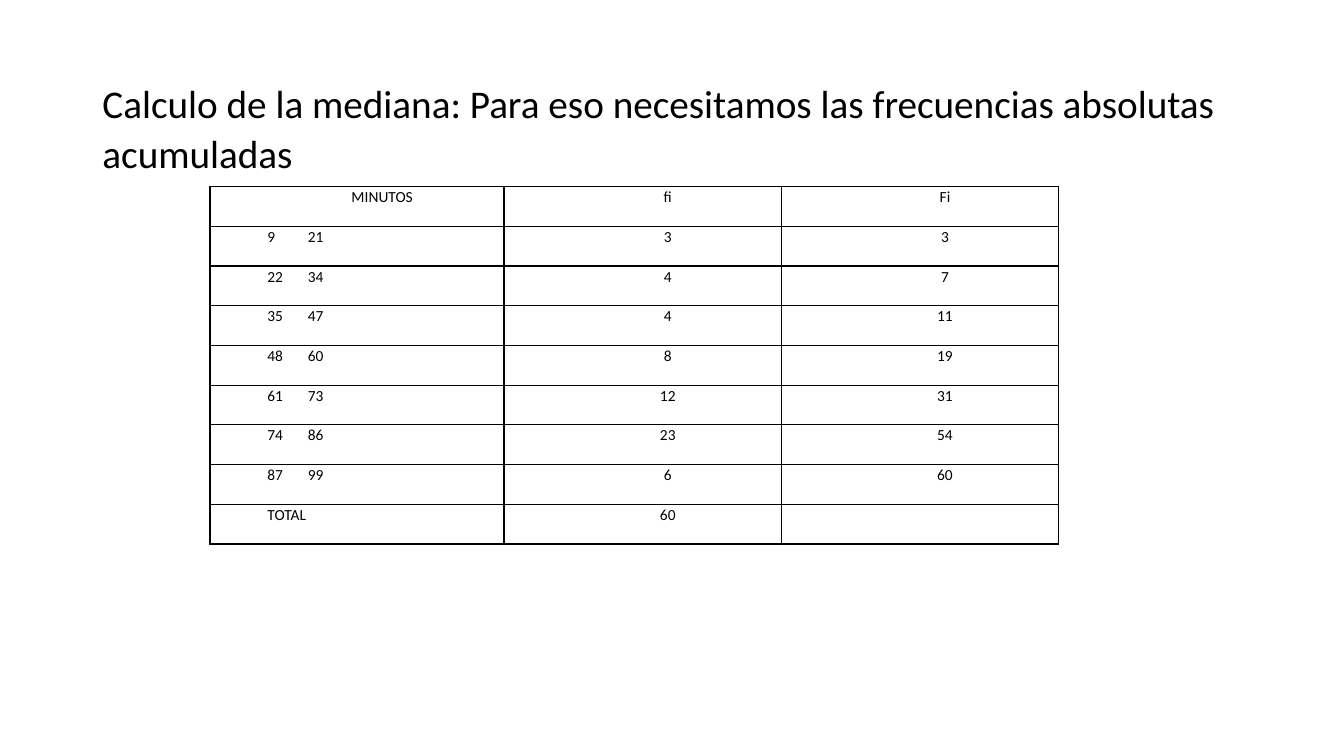
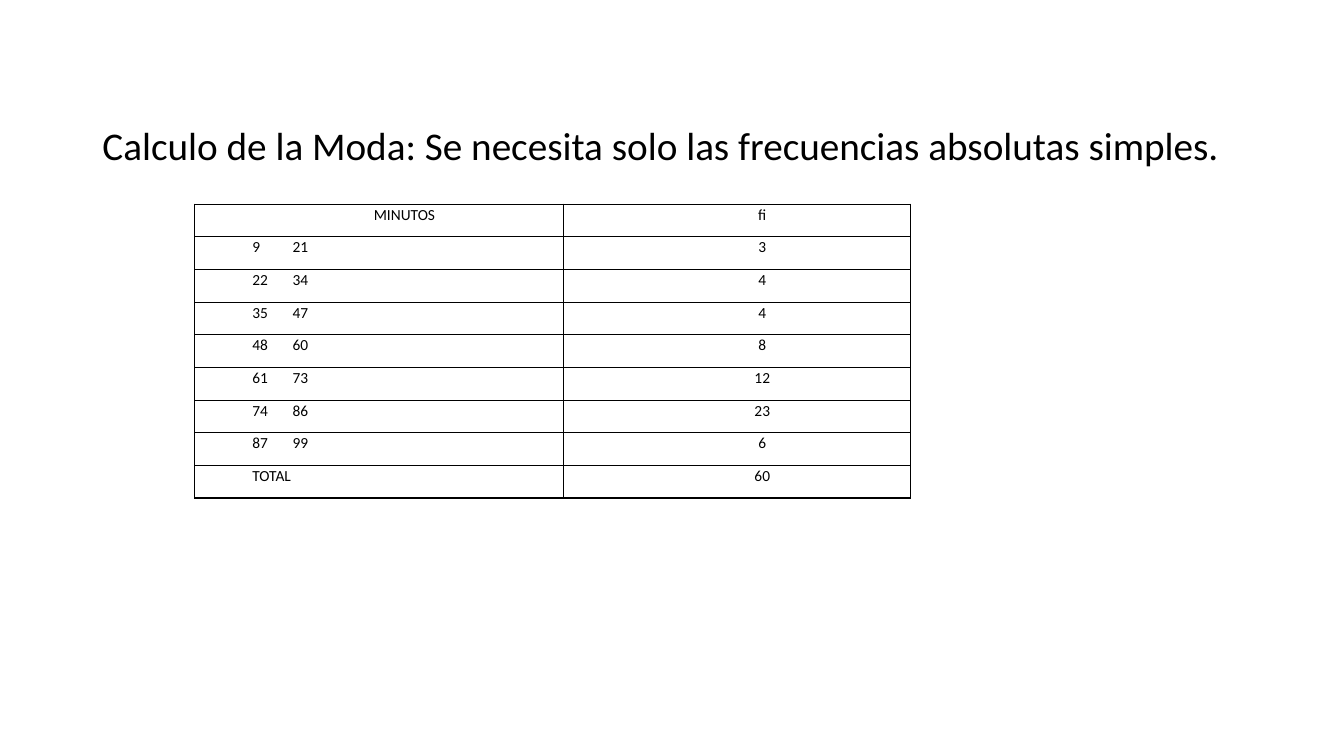
"""Build two slides on the median and the mode of grouped minutes."""
import itertools

import pptx
import pptx.dml.color
import pptx.enum.text
import pptx.oxml
import pptx.oxml.ns
import pptx.util

BLACK = pptx.dml.color.RGBColor(0, 0, 0)
FONT = "Calibri"
HEADING_FORMAT = {"name": FONT, "size": pptx.util.Pt(28), "bold": False}
CELL_FORMAT = {"name": FONT, "size": pptx.util.Pt(11), "bold": False}
HEADING_SPACING = {
    "alignment": pptx.enum.text.PP_ALIGN.LEFT,
    "line_spacing": 1.07,
    "space_before": pptx.util.Pt(10),
}
HEADING_FRAME = {
    "word_wrap": True,
    "auto_size": pptx.enum.text.MSO_AUTO_SIZE.NONE,
    "vertical_anchor": pptx.enum.text.MSO_ANCHOR.TOP,
}
CELL_MARGINS = {
    "margin_left": pptx.util.Inches(0.07),
    "margin_right": pptx.util.Inches(0.07),
    "margin_top": 0,
    "margin_bottom": 0,
}
PLAIN_TABLE = {"first_row": False, "horz_banding": False}
INDENT = pptx.util.Inches(0.5)
INTERVAL_GAP = pptx.util.Inches(0.4)

deck = pptx.Presentation()
deck.slide_width = pptx.util.Inches(40 / 3)
deck.slide_height = pptx.util.Inches(7.5)
COLUMN = deck.slide_width / 160
ROW = deck.slide_height / 90

intervals = [f"{low}\t{low + 12}" for low in range(9, 88, 13)]
frequencies = [3, 4, 4, 8, 12, 23, 6]
minutes = ["MINUTOS", *intervals, "TOTAL"]
simple = ["fi", *frequencies, sum(frequencies)]
cumulative = ["Fi", *itertools.accumulate(frequencies), ""]

topics = [
    {
        "heading": "Calculo de la mediana: Para eso necesitamos las frecuencias absolutas acumuladas",
        "heading_rows": (8.4, 72.7),
        "corner": (25, 22.2),
        "widths": (35, 33, 33),
        "height": 42.6,
        "series": (minutes, simple, cumulative),
    },
    {
        "heading": "Calculo de la Moda: Se necesita solo las frecuencias absolutas simples.",
        "heading_rows": (13.5, 67.5),
        "corner": (23.2, 24.3),
        "widths": (43.9, 41.3),
        "height": 35,
        "series": (minutes, simple),
    },
]


def apply(target, values):
    for attribute, value in values.items():
        setattr(target, attribute, value)


def outline(cell):
    properties = cell._tc.get_or_add_tcPr()
    for side in "LRTB":
        properties.append(pptx.oxml.parse_xml(
            f'<a:ln{side} {pptx.oxml.ns.nsdecls("a")} w="{pptx.util.Pt(1)}">'
            f'<a:solidFill><a:srgbClr val="{BLACK}"/></a:solidFill></a:ln{side}>'))
    cell.fill.background()


for topic in topics:
    slide = deck.slides.add_slide(deck.slide_layouts.get_by_name("Title Only"))
    heading = slide.shapes.title
    top, height = topic["heading_rows"]
    apply(heading, {
        "left": int(11 * COLUMN), "top": int(top * ROW),
        "width": int(138 * COLUMN), "height": int(height * ROW),
    })
    heading.text_frame.text = topic["heading"]
    apply(heading.text_frame, HEADING_FRAME)
    statement = heading.text_frame.paragraphs[0]
    apply(statement, HEADING_SPACING)
    apply(statement.runs[0].font, HEADING_FORMAT)
    statement.runs[0].font.color.rgb = BLACK

    left, top = topic["corner"]
    distribution = slide.shapes.add_table(
        len(minutes), len(topic["series"]), int(left * COLUMN), int(top * ROW),
        int(sum(topic["widths"]) * COLUMN), int(topic["height"] * ROW)).table
    apply(distribution, PLAIN_TABLE)
    for column, (width, entries) in enumerate(zip(topic["widths"], topic["series"])):
        distribution.columns[column].width = int(width * COLUMN)
        for row, entry in enumerate(entries):
            cell = distribution.cell(row, column)
            apply(cell, CELL_MARGINS)
            outline(cell)
            cell.text = str(entry)
            line = cell.text_frame.paragraphs[0]
            line.line_spacing = 1.07
            centred = row == 0 or column > 0
            line.alignment = (pptx.enum.text.PP_ALIGN.CENTER if centred
                              else pptx.enum.text.PP_ALIGN.LEFT)
            hanging = INTERVAL_GAP if "\t" in str(entry) else 0
            indents = line._p.get_or_add_pPr()
            indents.set("marL", str(INDENT + hanging))
            indents.set("indent", str(-hanging))
            for run in line.runs:
                apply(run.font, CELL_FORMAT)
                run.font.color.rgb = BLACK

deck.save("out.pptx")
